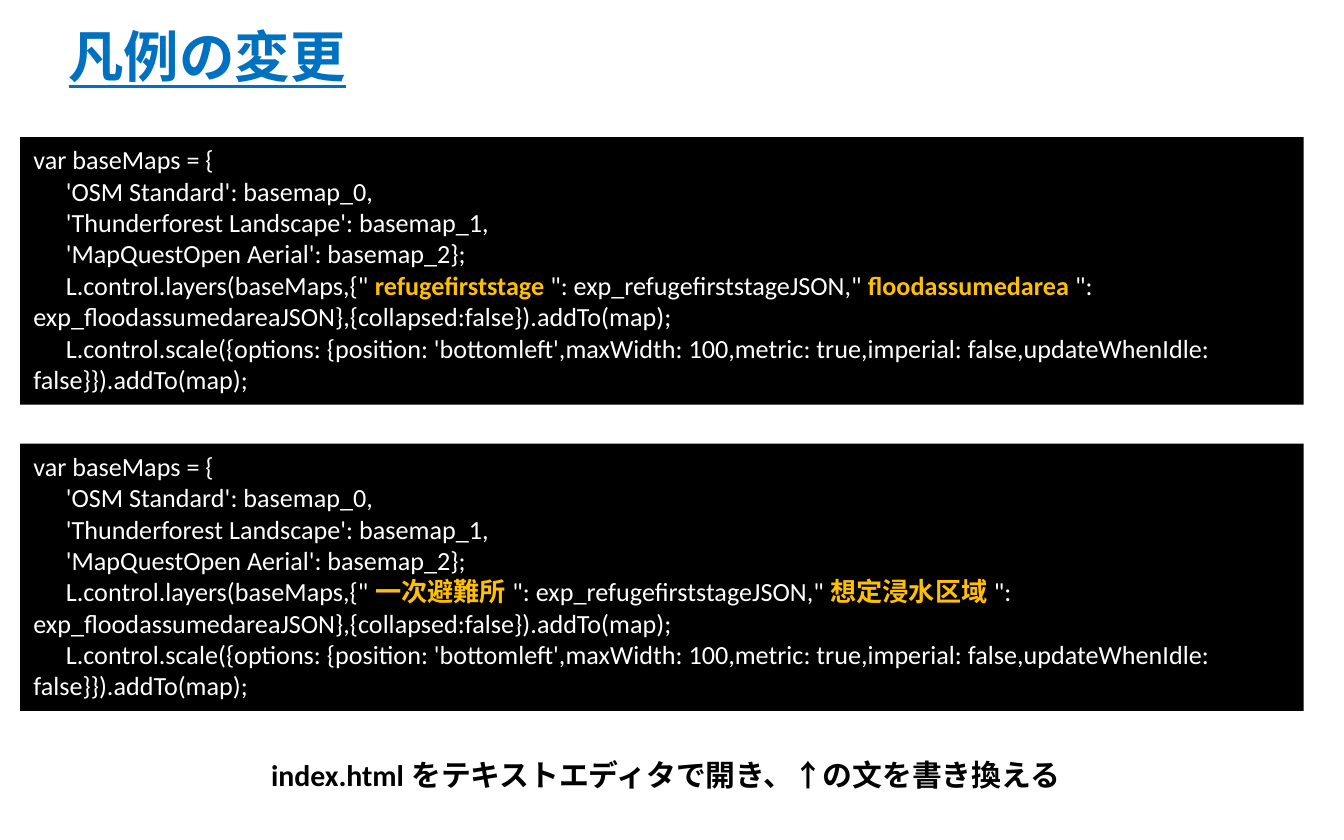
from dataclasses import dataclass

from pptx import Presentation
from pptx.dml.color import RGBColor
from pptx.enum.shapes import MSO_SHAPE
from pptx.enum.text import MSO_ANCHOR, MSO_AUTO_SIZE, PP_ALIGN
from pptx.util import Inches, Pt

RECT = MSO_SHAPE.RECTANGLE
TOP, MID = MSO_ANCHOR.TOP, MSO_ANCHOR.MIDDLE
LEFT, MIDDLE = PP_ALIGN.LEFT, PP_ALIGN.CENTER
FIXED = MSO_AUTO_SIZE.NONE
FONT = "Calibri"
WIDE, HIGH = 10, 6.25
BLACK, WHITE, BLUE, GOLD = "000000", "FFFFFF", "0070C0", "FFC000"

# Code panels: first top edge and step from one panel to the next
FIRST, STEP = 1.02, 2.28


@dataclass
class Panel:
    row: int
    refuge: str
    flood: str
    pad: str  # space inside the opening quote


PANELS = [
    Panel(0, "refugefirststage ", "floodassumedarea ", " "),
    Panel(1, "一次避難所", "想定浸水区域", ""),
]


def color(code: str) -> RGBColor:
    return RGBColor.from_string(code)


def style(run, size: float, code: str, bold: bool = False) -> None:
    font = run.font
    font.name, font.size, font.bold = FONT, Pt(size), bold
    font.color.rgb = color(code)


def place(shape, left: float, top: float, width: float, height: float) -> None:
    shape.left, shape.top = Inches(left), Inches(top)
    shape.width, shape.height = Inches(width), Inches(height)


def code_lines(panel: Panel) -> list[list[str]]:
    """Lines of code; every second part of a line is highlighted."""
    return [
        ["var baseMaps = {"],
        ["　'OSM Standard': basemap_0,"],
        ["　'Thunderforest Landscape': basemap_1,"],
        ["　'MapQuestOpen Aerial': basemap_2};"],
        [
            "　L.control.layers(baseMaps,{\"" + panel.pad,
            panel.refuge,
            "\": exp_refugefirststageJSON,\"" + panel.pad,
            panel.flood,
            "\": exp_floodassumedareaJSON},{collapsed:false}).addTo(map);",
        ],
        [
            "　L.control.scale({options: {position: 'bottomleft',maxWidth: 100,"
            "metric: true,imperial: false,updateWhenIdle: false}}).addTo(map);"
        ],
    ]


def draw_panel(slide, panel: Panel) -> None:
    box = slide.shapes.add_shape(RECT, 0, 0, 0, 0)
    place(box, 0.15, FIRST + panel.row * STEP, 9.55, 1.99)
    box.shadow.inherit = False
    box.fill.solid()
    box.fill.fore_color.rgb = color(BLACK)
    box.line.fill.background()
    frame = box.text_frame
    frame.word_wrap, frame.vertical_anchor = True, TOP
    lines = code_lines(panel)
    frame.text = "\n".join("" for _ in lines)
    for para, parts in zip(frame.paragraphs, lines):
        para.alignment = LEFT
        for i, part in enumerate(parts):
            run = para.add_run()
            run.text = part
            marked = i % 2 == 1
            style(run, 14, GOLD if marked else WHITE, marked)


def draw_title(slide, text: str) -> None:
    title = slide.shapes.title
    place(title, 0.41, 0.17, 8.62, 0.55)
    frame = title.text_frame
    frame.text = text
    frame.auto_size, frame.vertical_anchor = FIXED, MID
    para = frame.paragraphs[0]
    para.alignment, para.line_spacing = LEFT, 0.9
    style(para.runs[0], 29.7, BLUE, True)
    para.runs[0].font.underline = True


def draw_note(slide, text: str) -> None:
    note = slide.shapes.add_textbox(0, 0, 0, 0)
    place(note, 0, 5.58, 9.91, 0.37)
    frame = note.text_frame
    frame.word_wrap = True
    frame.text = text
    para = frame.paragraphs[0]
    para.alignment = MIDDLE
    style(para.runs[0], 16, BLACK, True)


def main() -> None:
    deck = Presentation()
    deck.slide_width, deck.slide_height = Inches(WIDE), Inches(HIGH)
    slide = deck.slides.add_slide(deck.slide_layouts[5])
    draw_title(slide, "凡例の変更")
    # The lower panel lies behind the upper one
    for panel in reversed(PANELS):
        draw_panel(slide, panel)
    draw_note(slide, "index.htmlをテキストエディタで開き、↑の文を書き換える")
    deck.save("out.pptx")


if __name__ == "__main__":
    main()
